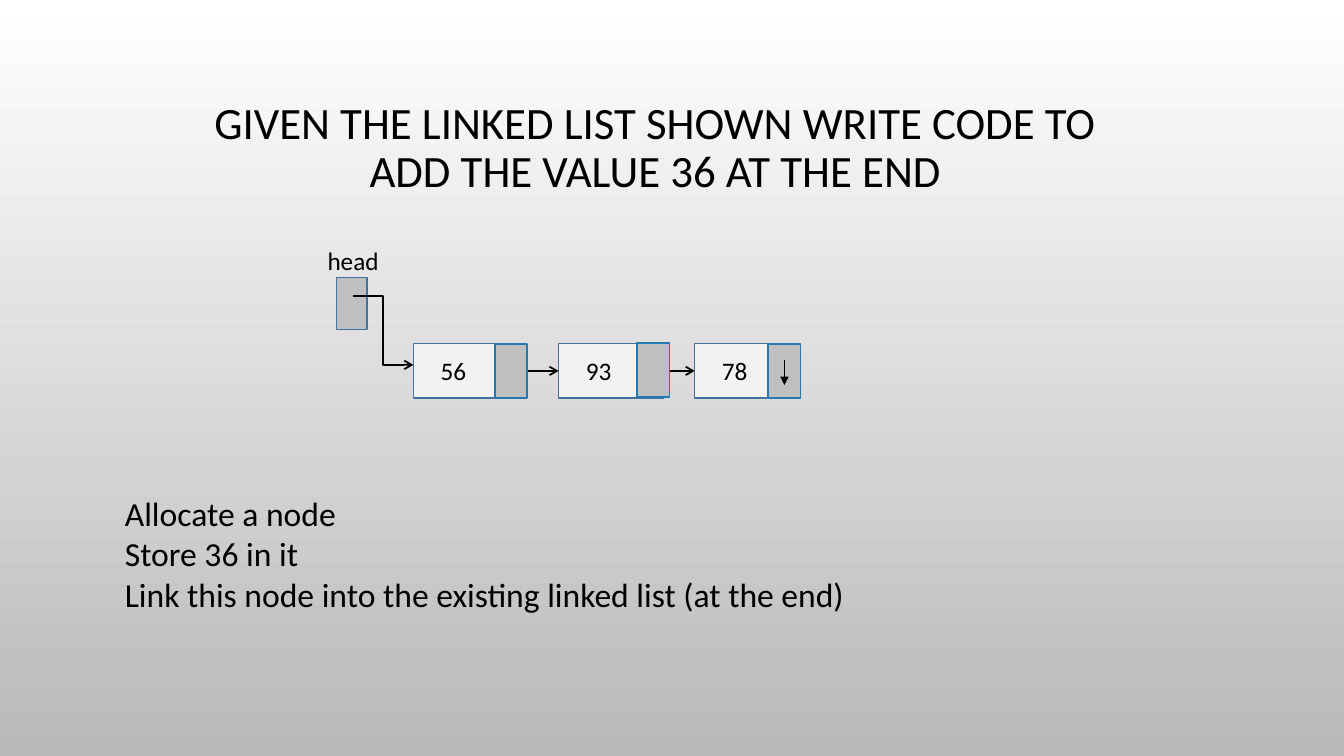
import pptx
import pptx.util
import pptx.dml.color
import pptx.enum.shapes
import pptx.enum.text
import pptx.oxml.ns
import lxml.etree

Inches = pptx.util.Inches
Pt = pptx.util.Pt
ANCHOR = pptx.enum.text.MSO_ANCHOR
ALIGN = pptx.enum.text.PP_ALIGN
CONNECTOR = pptx.enum.shapes.MSO_CONNECTOR

TITLE = "GIVEN THE LINKED LIST SHOWN WRITE CODE TO ADD THE VALUE 36 AT THE END"
STEPS = [
    "Allocate a node",
    "Store 36 in it",
    "Link this node into the existing linked list (at the end)",
]
NODES = [
    {"value": "56", "left": 4.1, "pointer": (4.91, 3.41)},
    {"value": "93", "left": 5.54, "pointer": (6.32, 3.4)},
    {"value": "78", "left": 6.89, "pointer": (7.62, 3.41)},
]
LINK_STARTS = [4.97, 6.44]
NODE_TOP, NODE_WIDTH, NODE_HEIGHT, POINTER_WIDTH = 3.41, 1.04, 0.54, 0.32
FONT = "Calibri"
COLORS = {
    "text": "000000",
    "node": "F2F2F2",
    "pointer": "BFBFBF",
    "node_line": "43729D",
    "pointer_line": "2379B0",
    "background_top": "FFFFFF",
    "background_bottom": "B9B9B9",
}


def rgb(name):
    return pptx.dml.color.RGBColor.from_string(COLORS[name])


def write(shape, lines, size, align=ALIGN.LEFT, spacing=1.0):
    shape.text_frame.text = "\n".join(lines)
    for paragraph in shape.text_frame.paragraphs:
        paragraph.alignment = align
        paragraph.line_spacing = spacing
        for run in paragraph.runs:
            run.font.name = FONT
            run.font.size = Pt(size)
            run.font.color.rgb = rgb("text")


def add_text(slide, box, lines, size, wrap=True, **style):
    shape = slide.shapes.add_textbox(*map(Inches, box))
    shape.text_frame.word_wrap = wrap
    write(shape, lines, size, **style)
    return shape


def add_box(slide, box, fill, line, width):
    shape = slide.shapes.add_shape(
        pptx.enum.shapes.MSO_SHAPE.RECTANGLE, *map(Inches, box))
    shape.shadow.inherit = False
    shape.fill.solid()
    shape.fill.fore_color.rgb = rgb(fill)
    shape.line.color.rgb = rgb(line)
    shape.line.width = Pt(width)
    return shape


def add_arrow(slide, kind, points, width, head):
    connector = slide.shapes.add_connector(kind, *map(Inches, points))
    connector.line.color.rgb = rgb("text")
    connector.line.width = Pt(width)
    line = connector.line._get_or_add_ln()
    lxml.etree.SubElement(line, pptx.oxml.ns.qn("a:tailEnd"), type=head)
    lxml.etree.SubElement(
        connector._element.spPr, pptx.oxml.ns.qn("a:effectLst"))
    return connector


def main():
    presentation = pptx.Presentation()
    presentation.slide_width = Inches(13.33)
    presentation.slide_height = Inches(7.5)
    slide = presentation.slides.add_slide(presentation.slide_layouts[6])

    background = slide.background.fill
    background.gradient()
    background.gradient_angle = 270
    for stop, name in zip(background.gradient_stops,
                          ["background_top", "background_bottom"]):
        stop.color.rgb = rgb(name)

    title = add_text(slide, (1.77, 0.6, 9.46, 1.75), [TITLE], 32,
                     align=ALIGN.CENTER, spacing=0.9)
    title.text_frame.vertical_anchor = ANCHOR.MIDDLE
    add_text(slide, (1.14, 4.84, 8.04, 1.31), STEPS, 24)
    add_text(slide, (3.15, 2.38, 0.71, 0.41), ["head"], 18, wrap=False)

    boxes = []
    for node in NODES:
        box = add_box(slide, (node["left"], NODE_TOP, NODE_WIDTH, NODE_HEIGHT),
                      "node", "node_line", 1)
        box.text_frame.margin_left = Inches(0.27)
        box.text_frame.vertical_anchor = ANCHOR.MIDDLE
        write(box, [node["value"]], 18)
        boxes.append(box)

    middle = NODE_TOP + NODE_HEIGHT / 2
    for start, node, box in zip(LINK_STARTS, NODES[1:], boxes[1:]):
        link = add_arrow(slide, CONNECTOR.ELBOW,
                         (start, middle, node["left"], middle), 1.25, "arrow")
        link.end_connect(box, 1)

    add_box(slide, (3.34, 2.75, 0.3, 0.52), "pointer", "node_line", 1)
    add_arrow(slide, CONNECTOR.ELBOW, (3.5, 2.94, NODES[0]["left"], 3.62),
              1.25, "arrow")

    for node in NODES:
        add_box(slide, (*node["pointer"], POINTER_WIDTH, NODE_HEIGHT),
                "pointer", "pointer_line", 1.25)
    null_x = NODES[-1]["pointer"][0] + POINTER_WIDTH / 2
    add_arrow(slide, CONNECTOR.STRAIGHT, (null_x, 3.57, null_x, 3.82),
              0.75, "triangle")

    presentation.save("out.pptx")


if __name__ == "__main__":
    main()
